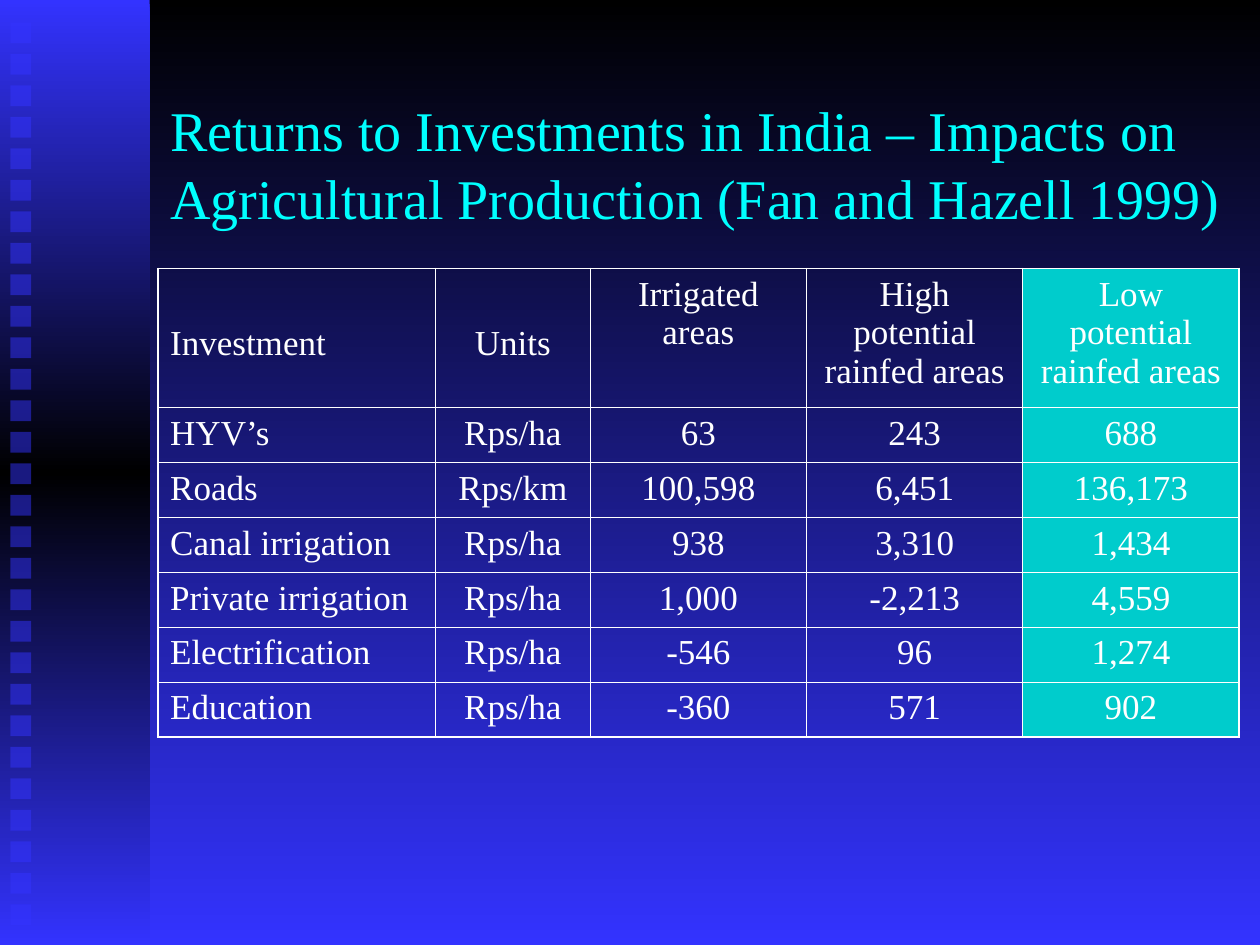
from copy import deepcopy

from lxml import etree
from pptx import Presentation
from pptx.dml.color import RGBColor
from pptx.enum.shapes import MSO_SHAPE
from pptx.enum.text import MSO_ANCHOR, PP_ALIGN
from pptx.oxml.ns import qn
from pptx.util import Cm, Pt

RECTANGLE = MSO_SHAPE.RECTANGLE
TOP, MIDDLE = MSO_ANCHOR.TOP, MSO_ANCHOR.MIDDLE
LEFT, CENTER = PP_ALIGN.LEFT, PP_ALIGN.CENTER

BLUE, BLACK, WHITE = "3333FF", "000000", "FFFFFF"
CYAN, TEAL = "00FFFF", "00CCCC"
TITLE_FONT = {"name": "Times New Roman", "size": Pt(32)}
TABLE_FONT = {"name": "Times New Roman", "size": Pt(20)}
INSETS = {
    "margin_left": Cm(0.25),
    "margin_right": Cm(0.25),
    "margin_top": Cm(0.13),
    "margin_bottom": Cm(0.13),
}

TITLE = (
    "Returns to Investments in India – Impacts on "
    "Agricultural Production (Fan and Hazell 1999)"
)
RETURNS = [
    ("Investment", "Units", "Irrigated areas",
     "High potential rainfed areas", "Low potential rainfed areas"),
    ("HYV’s", "Rps/ha", "63", "243", "688"),
    ("Roads", "Rps/km", "100,598", "6,451", "136,173"),
    ("Canal irrigation", "Rps/ha", "938", "3,310", "1,434"),
    ("Private irrigation", "Rps/ha", "1,000", "-2,213", "4,559"),
    ("Electrification", "Rps/ha", "-546", "96", "1,274"),
    ("Education", "Rps/ha", "-360", "571", "902"),
]
COLUMN_WIDTHS = [5.6, 3.12, 4.36, 4.36, 4.36]
HEADER_HEIGHT, ROW_HEIGHT = 2.79, 1.1
OUTER_LINE, INNER_LINE = 1.08, 0.45


def rgb(hex_color):
    return RGBColor.from_string(hex_color)


def apply(target, values):
    for name, value in values.items():
        setattr(target, name, value)


def write(paragraph, text, font, color, alignment=LEFT):
    paragraph.alignment = alignment
    run = paragraph.add_run()
    run.text = text
    apply(run.font, font)
    run.font.color.rgb = rgb(color)


def fill_downward(fill, owner, colors):
    fill.gradient()
    fill.gradient_angle = 270
    stop_list = owner.xpath(".//a:gsLst")[0]
    for _ in colors[2:]:
        stop_list.append(deepcopy(stop_list[0]))
    for index, (stop, color) in enumerate(zip(fill.gradient_stops, colors)):
        stop.position = index / (len(colors) - 1)
        stop.color.rgb = rgb(color)


def add_block(parent, left, top, width, height):
    block = parent.shapes.add_shape(
        RECTANGLE, Cm(left), Cm(top), Cm(width), Cm(height))
    block.shadow.inherit = False
    block.line.fill.background()
    return block


def add_sidebar(slide, left, top, width, height):
    sidebar = slide.shapes.add_group_shape()
    band = add_block(sidebar, left, top, width, height)
    fill_downward(band.fill, band.element, [BLUE, BLACK, BLUE])
    count, side, first, last = 29, 0.42, 0.45, 18.23
    pitch = (last - first) / (count - 1)
    for index in range(count):
        square = add_block(
            sidebar, left + 0.21, top + first + index * pitch, side, side)
        square.fill.solid()
        square.fill.fore_color.rgb = rgb(BLUE)
        tint = square.element.xpath("./p:spPr/a:solidFill/a:srgbClr")[0]
        etree.SubElement(tint, qn("a:alpha"), val="50000")


def add_title(slide, left, top, width, height):
    frame = slide.shapes.add_textbox(
        Cm(left), Cm(top), Cm(width), Cm(height)).text_frame
    apply(frame, {"word_wrap": True, "vertical_anchor": MIDDLE, **INSETS})
    write(frame.paragraphs[0], TITLE, TITLE_FONT, CYAN)


def set_borders(cell, widths):
    properties = cell._tc.get_or_add_tcPr()
    for position, (side, width) in enumerate(widths.items()):
        line = etree.Element(qn(f"a:ln{side}"), w=str(Pt(width)))
        paint = etree.SubElement(line, qn("a:solidFill"))
        etree.SubElement(paint, qn("a:srgbClr"), val=WHITE)
        properties.insert(position, line)


def add_returns_table(slide, left, top, width, height):
    last_row, last_column = len(RETURNS) - 1, len(COLUMN_WIDTHS) - 1
    table = slide.shapes.add_table(
        len(RETURNS), len(COLUMN_WIDTHS),
        Cm(left), Cm(top), Cm(width), Cm(height)).table
    apply(table, {"first_row": False, "horz_banding": False})
    for column, column_width in zip(table.columns, COLUMN_WIDTHS):
        column.width = Cm(column_width)
    for r, values in enumerate(RETURNS):
        table.rows[r].height = Cm(ROW_HEIGHT if r else HEADER_HEIGHT)
        for c, value in enumerate(values):
            cell = table.cell(r, c)
            apply(cell, {"vertical_anchor": TOP, **INSETS})
            if r == 0 and c < 2:
                apply(cell, {"vertical_anchor": MIDDLE, "margin_top": Cm(0.35)})
            if c == last_column:
                cell.fill.solid()
                cell.fill.fore_color.rgb = rgb(TEAL)
            else:
                cell.fill.background()
            edges = {"L": c == 0, "R": c == last_column,
                     "T": r == 0, "B": r == last_row}
            set_borders(cell, {side: OUTER_LINE if outer else INNER_LINE
                               for side, outer in edges.items()})
            write(cell.text_frame.paragraphs[0], value, TABLE_FONT, WHITE,
                  CENTER if c else LEFT)


def main():
    presentation = Presentation()
    apply(presentation, {"slide_width": Cm(25.4), "slide_height": Cm(19.05)})
    slide = presentation.slides.add_slide(presentation.slide_layouts[6])
    fill_downward(slide.background.fill, slide.element, [BLACK, BLUE])
    add_sidebar(slide, 0, 0, 3.02, 19.05)
    add_title(slide, 3.18, 1.7, 22.22, 3.18)
    table_height = HEADER_HEIGHT + ROW_HEIGHT * (len(RETURNS) - 1)
    add_returns_table(slide, 3.18, 5.41, sum(COLUMN_WIDTHS), table_height)
    presentation.save("out.pptx")


if __name__ == "__main__":
    main()
